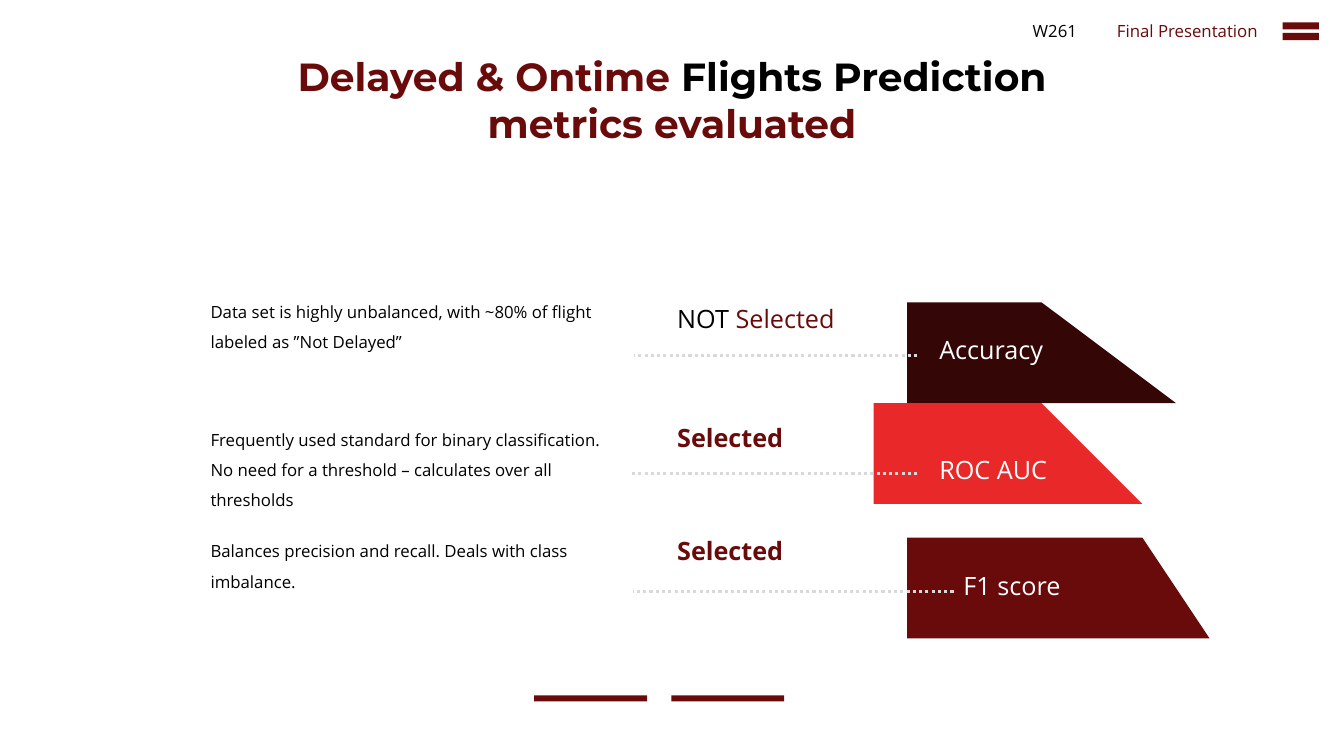
from collections import namedtuple

from pptx import Presentation
from pptx.dml.color import RGBColor
from pptx.enum.dml import MSO_LINE
from pptx.enum.shapes import MSO_CONNECTOR, MSO_SHAPE
from pptx.enum.text import MSO_ANCHOR, MSO_AUTO_SIZE, PP_ALIGN
from pptx.oxml.ns import qn
from pptx.util import Inches, Pt
from lxml import etree

# The slide is a grid of 40 columns by 22.5 rows of square cells
COLS, ROWS = 40, 22.5
CELL = Inches(40 / 3) / COLS
BODY, HEAD = "Open Sans", "Montserrat"
MAROON, BLACK, WHITE = "690B0B", "000000", "FFFFFF"

# Horizontal places are in columns from the left of the region; the dy
# values are in rows from the top of the metric's own row.
Metric = namedtuple("Metric", "name name_x name_dy fill slab line_x line_dy "
                              "verdict verdict_w verdict_dy note note_h note_dy")
METRICS = [
    Metric("Accuracy", 21.69, 0.84, "340606", (20.85, 25.26, 28.89),
           (12.9, 21.33), 1.62, [("NOT ", BLACK), ("Selected", MAROON)], 5.37, -0.09,
           "Data set is highly unbalanced, with ~80% of flight labeled as ”Not Delayed”",
           2.01, -0.45),
    Metric("ROC AUC", 21.69, 0.99, "E92929", (19.65, 25.29, 27.69),
           (12.78, 21.33), 1.71, [("Selected", MAROON)], 3.78, 0.03,
           "Frequently used standard for binary classification. "
           "No need for a threshold – calculates over all thresholds",
           2.94, -0.06),
    Metric("F1 score", 22.41, 1.02, MAROON, (20.85, 28.29, 30.45),
           (12.87, 22.41), 1.8, [("Selected", MAROON)], 3.78, -0.03,
           "Balances precision and recall. Deals with class imbalance.",
           2.01, -0.15),
]


def grid(n):
    return round(n * CELL)


def color(value):
    return RGBColor.from_string(value)


def paint(sp, fill):
    sp.shadow.inherit = False
    sp.fill.solid()
    sp.fill.fore_color.rgb = color(fill)
    sp.line.fill.background()


def add_runs(p, runs, size, font, bold=False):
    p.font.size, p.font.name, p.font.bold = Pt(size), font, bold
    for text, rgb in runs:
        r = p.add_run()
        r.text = text
        r.font.color.rgb = color(rgb)


def add_text(s, box, runs, size=12, bold=False, wrap=False, align=PP_ALIGN.LEFT):
    tf = s.shapes.add_textbox(*map(grid, box)).text_frame
    tf.word_wrap = wrap
    p = tf.paragraphs[0]
    p.alignment = align
    add_runs(p, runs, size, BODY, bold)
    return p


def add_shape(s, kind, box, fill):
    paint(s.shapes.add_shape(kind, *map(grid, box)), fill)


def add_dots(s, x1, x2, y):
    line = s.shapes.add_connector(MSO_CONNECTOR.STRAIGHT,
                                  grid(x2), grid(y), grid(x1), grid(y))
    line.line.color.rgb = color("D9D9D9")
    line.line.width = Pt(2.25)
    line.line.dash_style = MSO_LINE.ROUND_DOT
    etree.SubElement(line._element.spPr, qn("a:effectLst"))


def add_slab(s, x, y, edges, height, fill):
    left, top_right, bottom_right = (x + e for e in edges)
    outline = s.shapes.build_freeform(left, y, scale=CELL)
    outline.add_line_segments([(top_right, y), (bottom_right, y + height),
                               (left, y + height)])
    paint(outline.convert_to_shape(), fill)


def title(s, x, y, w, h):
    sp = s.shapes.title
    sp.left, sp.top, sp.width, sp.height = map(grid, (x, y, w, h))
    tf = sp.text_frame
    tf.auto_size = MSO_AUTO_SIZE.NONE
    tf.word_wrap = True
    tf.vertical_anchor = MSO_ANCHOR.TOP
    p = tf.paragraphs[0]
    p.alignment = PP_ALIGN.CENTER
    add_runs(p, [("Delayed & Ontime ", MAROON), ("Flights Prediction", BLACK)],
             28, HEAD, True)
    p.add_line_break()
    add_runs(p, [("metrics evaluated", MAROON)], 28, HEAD, True)


def header(s, x, y, h):
    add_text(s, (x, y, 1.95, h), [("W261", BLACK)], align=PP_ALIGN.CENTER)
    add_text(s, (x + 2.49, y, 4.86, h), [("Final Presentation", MAROON)],
             align=PP_ALIGN.CENTER)
    add_shape(s, MSO_SHAPE.MATH_EQUAL, (x + 7.56, y, 1.47, h), MAROON)


def metric_row(s, x, y, h, m):
    add_slab(s, x, y, m.slab, h, m.fill)
    add_dots(s, x + m.line_x[0], x + m.line_x[1], y + m.line_dy)
    add_text(s, (x + 13.89, y + m.verdict_dy, m.verdict_w, 1.2), m.verdict,
             18, bold=len(m.verdict) == 1)
    p = add_text(s, (x, y + m.note_dy, 12.45, m.note_h), [(m.note, BLACK)], wrap=True)
    p.line_spacing = 1.5
    add_text(s, (x + m.name_x, y + m.name_dy, 3.8, 1.2), [(m.name, WHITE)], 18)


def metrics(s, x, y, pitch, gap):
    for i, m in enumerate(METRICS):
        metric_row(s, x, y + i * pitch, pitch - gap, m)


def footer(s, x, y, bar_w, pitch):
    for i in range(2):
        add_shape(s, MSO_SHAPE.RECTANGLE, (x + i * pitch, y, bar_w, 0.18), MAROON)


def main():
    prs = Presentation()
    prs.slide_width, prs.slide_height = grid(COLS), grid(ROWS)
    s = prs.slides.add_slide(prs.slide_layouts[5])
    title(s, 0, 1.41, COLS, 3.12)
    header(s, 30.42, 0.48, 0.9)
    metrics(s, 5.97, 8.97, 3.42, 0.33)
    footer(s, 15.9, 20.7, 3.36, 4.08)
    prs.save("out.pptx")


if __name__ == "__main__":
    main()
